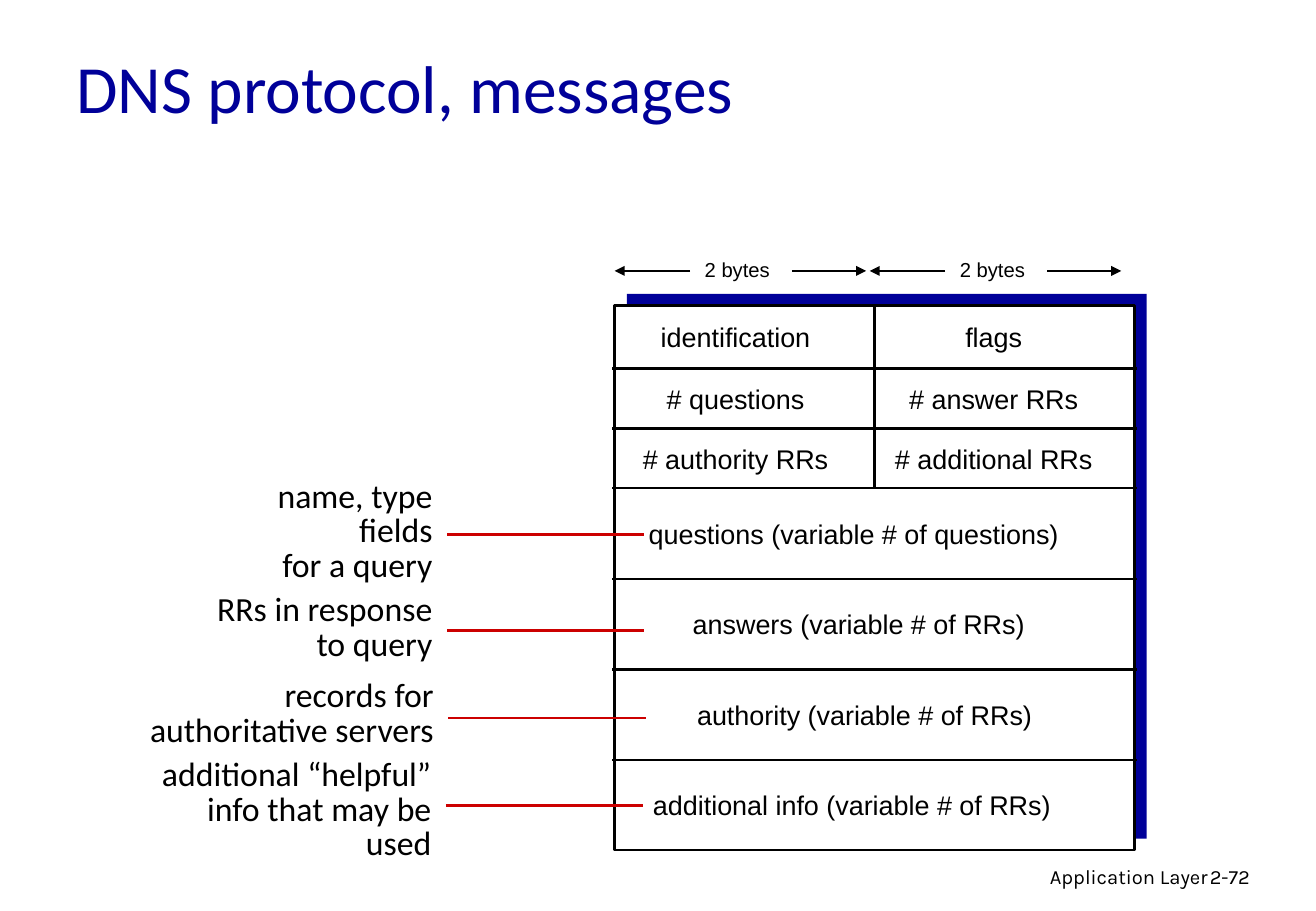
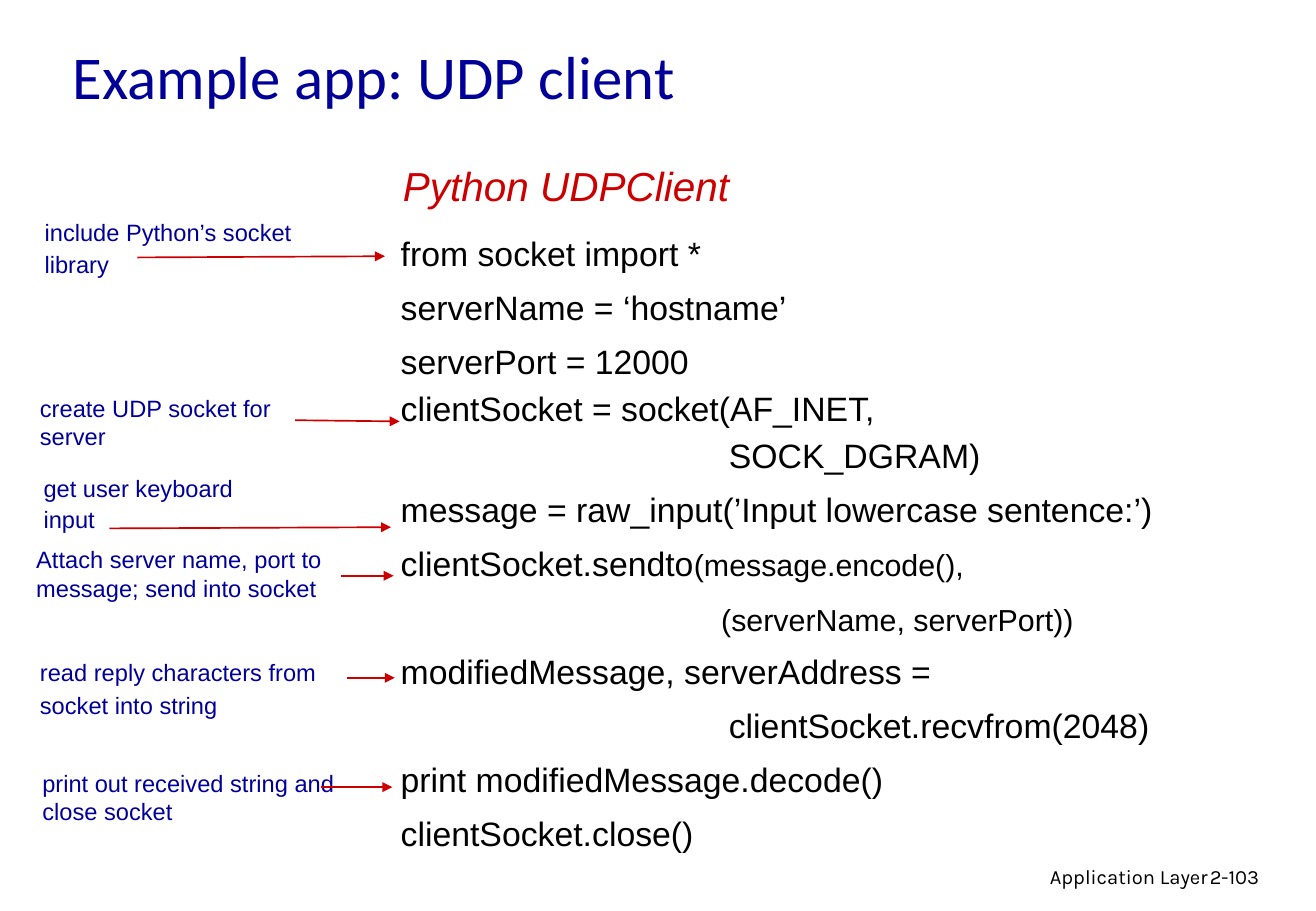
from itertools import accumulate

from lxml import etree
from pptx import Presentation
from pptx.dml.color import RGBColor
from pptx.enum.shapes import MSO_CONNECTOR, MSO_SHAPE
from pptx.enum.text import MSO_ANCHOR, PP_ALIGN
from pptx.oxml.ns import qn
from pptx.util import Pt

# Shared style
BLACK = RGBColor(0x00, 0x00, 0x00)
WHITE = RGBColor(0xFF, 0xFF, 0xFF)
NAVY = RGBColor(0x00, 0x00, 0x99)
RED = RGBColor(0xCC, 0x00, 0x00)
BODY_FONT, HEAD_FONT, FOOTER_FONT = "Arial", "Calibri", "Karla"
FOOTER_TEXT = "Application Layer"

# Slide 1 content: rows hold a height and (label, centre x) cells
MESSAGE_ROWS = [
    (37.4, [("identification", 436), ("flags", 589)]),
    (35.5, [("# questions", 436), ("# answer RRs", 589)]),
    (35.5, [("# authority RRs", 436), ("# additional RRs", 589)]),
    (53.7, [("questions (variable # of questions)", 506)]),
    (53.7, [("answers (variable # of RRs)", 509)]),
    (53.7, [("authority (variable # of RRs)", 512.5)]),
    (53.5, [("additional info (variable # of RRs)", 505)]),
]
# Lines, right edge, width, centre y of the text, y of the pointer
CALLOUTS = [
    (["name, type fields", "for a query"], 263.5, 150, 315.7, 316.8),
    (["RRs in response", "to query"], 263.5, 185, 372.6, 373.7),
    (["records for", "authoritative servers"], 264.2, 184, 423.7, 425.5),
    (["additional “helpful”", "info that may be used"], 262.8, 189, 480.6, 477.4),
]

# Slide 2 content: runs as (text, size), left indent, line pitch
CODE_LINES = [
    ([("from socket import *", 20)], 0, 28),
    ([("serverName = ‘hostname’", 20)], 0, 28),
    ([("serverPort = 12000", 20)], 0, 28),
    ([("clientSocket = socket(AF_INET,", 20)], 0, 24),
    ([("SOCK_DGRAM)", 20)], 194.5, 24),
    ([("message = raw_input(’Input lowercase sentence:’)", 20)], 0, 28),
    ([("clientSocket.sendto", 20), ("(message.encode(),", 18)], 0, 28),
    ([("(serverName, serverPort))", 18)], 190, 28),
    ([("modifiedMessage, serverAddress =", 20)], 0, 28),
    ([("clientSocket.recvfrom(2048)", 20)], 194.5, 28),
    ([("print modifiedMessage.decode()", 20)], 0, 28),
    ([("clientSocket.close()", 20)], 0, 28),
]
# Lines, left, top, width, line pitch, arrow start and end
NOTES = [
    (["include Python’s socket", "library"], 19.4, 126.7, 175, 16,
     (81.4, 152.6), (228.2, 151.9)),
    (["create UDP socket for server"], 16.6, 229.7, 180, None,
     (175, 249.1), (236.9, 249.8)),
    (["get user keyboard", "input"], 18.7, 277.9, 140, 16,
     (64.8, 313.2), (231.8, 312.5)),
    (["Attach server name, port to message; send into socket"],
     14.4, 319.7, 200, None, (202.3, 341.3), (233.3, 341.3)),
    (["read reply characters from", "socket into string"],
     16.6, 386.6, 200, None, (205.9, 401.8), (234, 401.8)),
    (["print out received string and close socket"],
     18, 452.2, 200, None, (190.1, 466.6), (232.6, 466.6)),
]


def add_text(slide, box, lines, size, color=BLACK, font=BODY_FONT,
             align=PP_ALIGN.LEFT, anchor=MSO_ANCHOR.TOP,
             line_spacing=None, space_before=0):
    """Add a wrapped text box; each line becomes a paragraph."""
    frame = slide.shapes.add_textbox(*(Pt(value) for value in box)).text_frame
    frame.word_wrap = True
    frame.vertical_anchor = anchor
    for index, line in enumerate(lines):
        paragraph = frame.add_paragraph() if index else frame.paragraphs[0]
        paragraph.text = line
        paragraph.alignment = align
        paragraph.line_spacing = line_spacing
        paragraph.space_before = Pt(space_before)
        paragraph.font.size = Pt(size)
        paragraph.font.name = font
        paragraph.font.color.rgb = color
    return frame


def add_rectangle(slide, box, fill, line=None):
    shape = slide.shapes.add_shape(
        MSO_SHAPE.RECTANGLE, *(Pt(value) for value in box))
    shape.shadow.inherit = False
    shape.fill.solid()
    shape.fill.fore_color.rgb = fill
    if line is None:
        shape.line.fill.background()
    else:
        shape.line.color.rgb = line
        shape.line.width = Pt(1.5)


def add_line(slide, start, end, color, width, arrow=False):
    connector = slide.shapes.add_connector(
        MSO_CONNECTOR.STRAIGHT, *(Pt(value) for value in (*start, *end)))
    connector.line.color.rgb = color
    connector.line.width = Pt(width)
    properties = connector.element.spPr
    if arrow:
        etree.SubElement(properties.find(qn("a:ln")), qn("a:tailEnd"),
                         type="triangle")
    etree.SubElement(properties, qn("a:effectLst"))


def add_base_slide(presentation, title, title_box, title_size, number):
    """Add a blank slide with the shared title and footer."""
    slide = presentation.slides.add_slide(presentation.slide_layouts[6])
    add_text(slide, title_box, [title], title_size, NAVY, HEAD_FONT,
             anchor=MSO_ANCHOR.MIDDLE)
    add_text(slide, (476, 509, 247, 22), [FOOTER_TEXT], 12,
             font=FOOTER_FONT, align=PP_ALIGN.RIGHT)
    add_text(slide, (710, 509, 58, 22), [number], 12, font=FOOTER_FONT)
    return slide


def build_messages_slide(presentation):
    slide = add_base_slide(presentation, "DNS protocol, messages",
                           (38.2, 17.3, 663, 67.7), 40, "2-72")
    left, top, width, middle = 364.3, 181, 308.2, 518.4
    heights = [height for height, cells in MESSAGE_ROWS]
    tops = list(accumulate(heights, initial=top))
    header_bottom = tops[3]

    # Message frame with its offset backing
    add_rectangle(slide, (left + 7.2, top - 6.8, width, sum(heights)), NAVY)
    add_rectangle(slide, (left, top, width, sum(heights)), WHITE, BLACK)
    for y in tops[1:-1]:
        add_line(slide, (left - 1.3, y), (left + width + 1.3, y), BLACK, 1.5)
    add_line(slide, (middle, top), (middle, header_bottom), BLACK, 1.5)

    # Field labels
    for y, (height, cells) in zip(tops, MESSAGE_ROWS):
        label_width = 300 / len(cells)
        for label, center in cells:
            add_text(slide, (center - label_width / 2, y, label_width, height),
                     [label], 16, align=PP_ALIGN.CENTER,
                     anchor=MSO_ANCHOR.MIDDLE)

    # Width markers above the two columns
    for center in (437, 588.2):
        add_text(slide, (center - 35, 149, 70, 21.6), ["2 bytes"], 12,
                 align=PP_ALIGN.CENTER)
        for inner, outer in ((-28, -72.7), (32.4, 76.4)):
            add_line(slide, (center + inner, 160.6), (center + outer, 160.6),
                     BLACK, 0.75, arrow=True)

    # Callouts with pointers
    for lines, right, text_width, center, pointer in CALLOUTS:
        add_text(slide, (right - text_width, center - 24, text_width, 48),
                 lines, 20, font=HEAD_FONT, align=PP_ALIGN.RIGHT,
                 anchor=MSO_ANCHOR.MIDDLE, line_spacing=0.85)
        add_line(slide, (right + 1.5, pointer), (right + 118.5, pointer),
                 RED, 1.5)


def build_client_slide(presentation):
    slide = add_base_slide(presentation, "Example app: UDP client",
                           (36, 7.2, 663, 74.9), 36, "2-103")
    heading = add_text(slide, (231.8, 92.2, 230, 36), ["Python UDPClient"],
                       24, RED)
    heading.paragraphs[0].font.italic = True

    # Program listing
    listing = add_text(slide, (230.4, 130.3, 470, 391),
                       [""] * len(CODE_LINES), 20, space_before=4)
    for paragraph, (runs, indent, pitch) in zip(listing.paragraphs, CODE_LINES):
        paragraph.line_spacing = Pt(pitch)
        if indent:
            paragraph._p.get_or_add_pPr().set("marL", str(Pt(indent)))
        for text, size in runs:
            run = paragraph.add_run()
            run.text = text
            run.font.size = Pt(size)

    # Notes with arrows to the code
    for lines, left, top, width, pitch, start, end in NOTES:
        add_text(slide, (left, top, width, 42), lines, 14, NAVY,
                 line_spacing=Pt(pitch) if pitch else None, space_before=2.8)
        add_line(slide, start, end, RED, 1, arrow=True)


def main():
    presentation = Presentation()
    presentation.slide_width, presentation.slide_height = Pt(780), Pt(540)
    build_messages_slide(presentation)
    build_client_slide(presentation)
    presentation.save("out.pptx")


if __name__ == "__main__":
    main()
